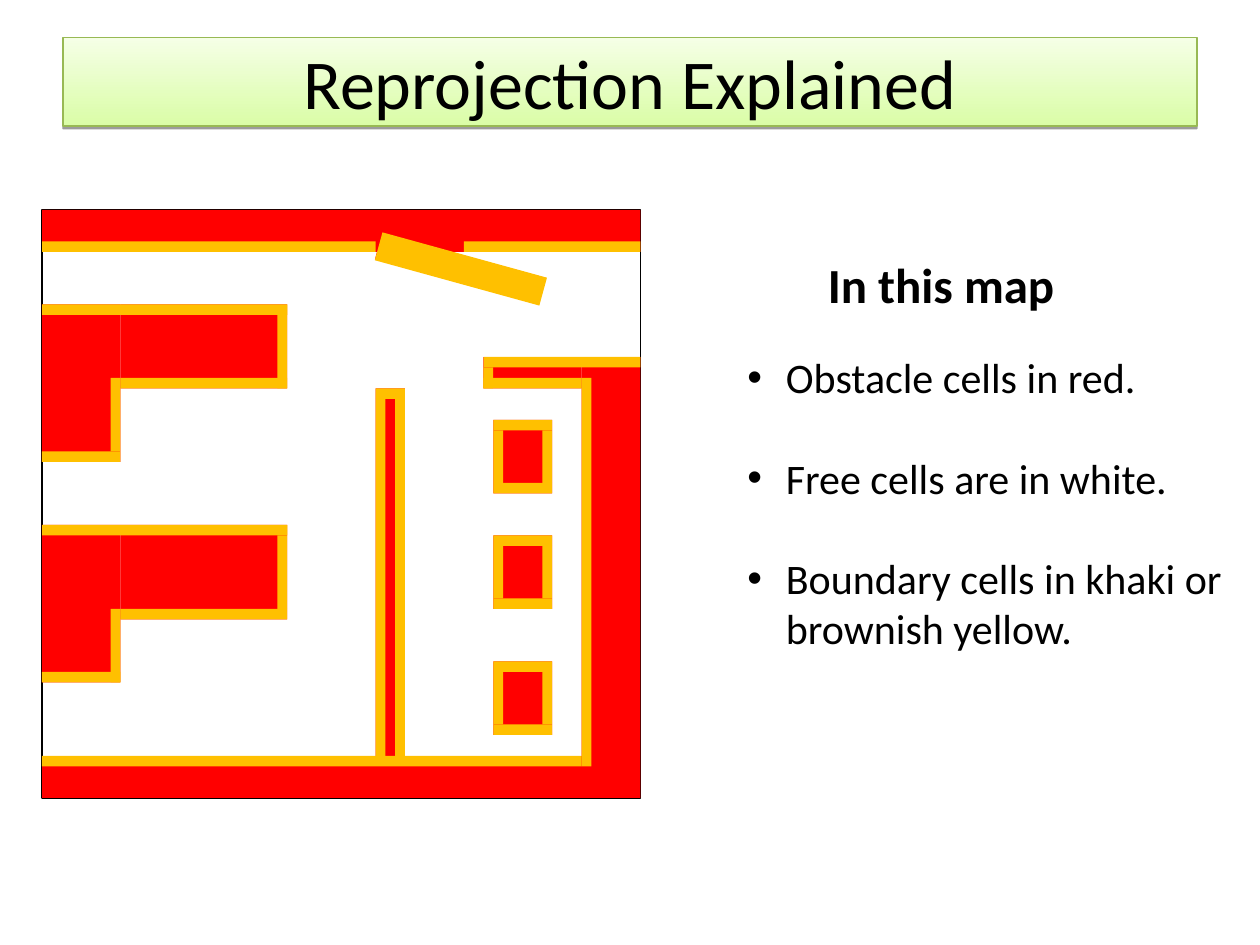
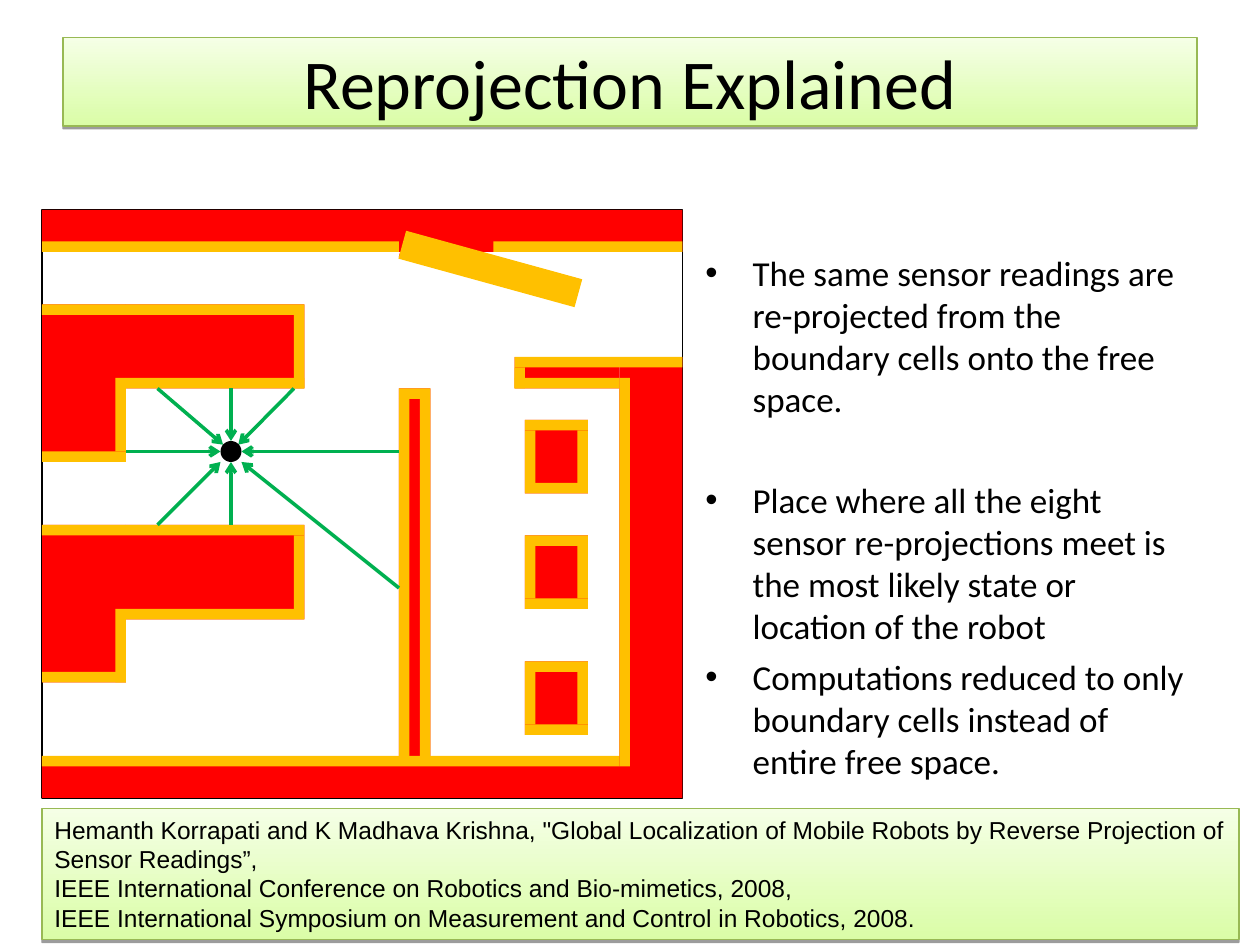
"""Two slides on reprojection, each with a grid map of a room."""
from lxml.etree import SubElement
from pptx import Presentation
from pptx.dml.color import RGBColor
from pptx.enum.shapes import MSO_CONNECTOR as Connector, MSO_SHAPE as Shape
from pptx.enum.text import MSO_ANCHOR as Anchor, PP_ALIGN as Align
from pptx.oxml.ns import qn
from pptx.util import Pt

COLORS = {
    "obstacle": "FF0000", "boundary": "FFC000", "free": "FFFFFF", "ray": "00B050",
    "ink": "000000", "band_bottom": "DAFDA7", "band_top": "F5FFE6", "band_line": "98B954",
}
MAP_LEFT, MAP_TOP, CELL = 24, 120, 6
MAP_COLUMNS, MAP_ROWS = 61, 56
NARROW_CELL = 342 / MAP_COLUMNS
COUNTERS = [(9, 8), (30, 9)]
CRATE_TOPS = [20, 31, 43]
OBSTACLES = [(0, 52, 61, 4), (34, 17, 3, 35), (0, 0, 61, 4), (55, 14, 6, 38), (45, 14, 10, 3)]
BOUNDARIES = [
    (0, 3, 34, 1), (43, 3, 18, 1), (0, 52, 55, 1),
    (34, 17, 3, 1), (34, 18, 1, 34), (36, 18, 1, 34),
    (45, 14, 16, 1), (45, 15, 1, 2), (45, 16, 10, 1), (55, 16, 1, 37),
]
DOORS = [("obstacle", (34, 4.3, 17.3, 2.5), 15.2), ("boundary", (34, 4.24, 17.4, 2.76), 15.4)]
RAYS = [
    ((18, 30), (18, 24)), ((8, 23), (17, 23)), ((18, 17), (18, 22)), ((11, 30), (17, 24)),
    ((11, 17), (17.25, 22.35)), ((34, 36), (19, 24)), ((24, 17), (18.7, 22.35)),
    ((34, 23), (19, 23)),
]
ROBOT = (17, 22, 2, 2)
MAP_KEY = [
    ("Obstacle cells in red.", 22),
    ("Free cells are in white.", 28.5),
    ("Boundary cells in khaki or brownish yellow.", 28.5),
]
METHOD = [
    ("The same sensor readings are re-projected from the boundary cells onto the free space.", 0),
    ("Place where all the eight sensor re-projections meet is the most likely state or "
     "location of the robot", 34),
    ("Computations reduced to only boundary cells instead of entire free space.", 5),
]
CITATION = [
    'Hemanth Korrapati and K Madhava Krishna, "Global Localization of Mobile Robots by '
    "Reverse Projection of Sensor Readings”,",
    "IEEE International Conference on Robotics and Bio-mimetics, 2008,",
    "IEEE International Symposium on Measurement and Control in Robotics, 2008.",
]


def color(name):
    """Return the named colour."""
    return RGBColor.from_string(COLORS[name])


def format_runs(paragraph, size, font="Calibri", bold=False):
    """Set the font of every run in a paragraph."""
    for run in paragraph.runs:
        run.font.name = font
        run.font.size = Pt(size)
        run.font.bold = bold
        run.font.color.rgb = color("ink")


def next_paragraph(text_frame):
    """Return the empty first paragraph, or a new one."""
    first = text_frame.paragraphs[0]
    return text_frame.add_paragraph() if first.runs else first


def add_bullets(text_frame, items, size, indent):
    """Add bulleted paragraphs, each with its own space before."""
    for text, space in items:
        paragraph = next_paragraph(text_frame)
        paragraph.text = text
        properties = paragraph._p.get_or_add_pPr()
        properties.set("marL", str(Pt(indent)))
        properties.set("indent", str(-Pt(indent)))
        SubElement(properties, qn("a:buFont"), typeface="Arial")
        SubElement(properties, qn("a:buChar"), char="•")
        paragraph.space_before = Pt(space)
        format_runs(paragraph, size)


def add_text_box(slide, left, top, width, height):
    """Add a wrapping text box and return its text frame."""
    text_frame = slide.shapes.add_textbox(Pt(left), Pt(top), Pt(width), Pt(height)).text_frame
    text_frame.word_wrap = True
    return text_frame


def add_band(slide, left, top, width, height, lines, size, font, align, anchor):
    """Add a green gradient band with a thin shadow and text."""
    shape = slide.shapes.add_shape(Shape.RECTANGLE, Pt(left), Pt(top), Pt(width), Pt(height))
    shape.fill.gradient()
    shape.fill.gradient_angle = 90
    for stop, name in zip(shape.fill.gradient_stops, ("band_bottom", "band_top")):
        stop.color.rgb = color(name)
    for position, stop in enumerate(shape.fill.gradient_stops):
        stop.position = position
    shape.line.color.rgb = color("band_line")
    shape.line.width = Pt(0.75)
    shape.shadow.inherit = False
    effects = shape._element.spPr.find(qn("a:effectLst"))
    shadow = SubElement(effects, qn("a:outerShdw"), dist=str(Pt(1.6)), dir="5400000",
                        rotWithShape="0")
    shade = SubElement(shadow, qn("a:srgbClr"), val=COLORS["ink"])
    SubElement(shade, qn("a:alpha"), val="38000")
    text_frame = shape.text_frame
    text_frame.word_wrap = True
    text_frame.vertical_anchor = anchor
    for line in lines:
        paragraph = next_paragraph(text_frame)
        paragraph.text = line
        paragraph.alignment = align
        format_runs(paragraph, size, font)


def add_title(slide):
    """Add the shared title band."""
    add_band(slide, 36, 21.6, 648, 50.4, ["Reprojection Explained"], 40, "Calibri",
             Align.CENTER, Anchor.MIDDLE)


def map_point(column, row, cell):
    """Turn a map position into slide lengths."""
    return Pt(MAP_LEFT + column * cell), Pt(MAP_TOP + row * CELL)


def add_cells(group, block, fill, cell, kind=Shape.RECTANGLE):
    """Add one block of map cells given as column, row, columns, rows."""
    column, row, columns, rows = block
    shape = group.shapes.add_shape(kind, *map_point(column, row, cell),
                                   Pt(columns * cell), Pt(rows * CELL))
    shape.fill.solid()
    shape.fill.fore_color.rgb = color(fill)
    shape.line.fill.background()
    shape.shadow.inherit = False
    return shape


def counter_blocks(top, depth):
    """Return the obstacle and boundary blocks of an L-shaped counter."""
    inner = top + depth - 1
    obstacles = [(0, top, 8, 15), (8, top, 17, depth)]
    boundaries = [(0, top, 25, 1), (8, inner, 17, 1), (24, top + 1, 1, 7),
                  (7, inner, 1, 7), (0, top + 14, 8, 1)]
    return obstacles, boundaries


def crate_blocks(top):
    """Return the obstacle and boundary blocks of a crate."""
    boundaries = [(46, top, 6, 1), (46, top + 6, 6, 1),
                  (46, top + 1, 1, 5), (51, top + 1, 1, 5)]
    return [(46, top, 6, 7)], boundaries


def add_map(slide, cell):
    """Add the room map with cells of the given width."""
    group = slide.shapes.add_group_shape()
    room = add_cells(group, (0, 0, MAP_COLUMNS, MAP_ROWS), "free", cell)
    room.line.color.rgb = color("ink")
    room.line.width = Pt(0)
    furniture = [counter_blocks(*counter) for counter in COUNTERS]
    furniture += [crate_blocks(top) for top in CRATE_TOPS]
    for obstacles, boundaries in [(OBSTACLES, BOUNDARIES)] + furniture:
        for block in obstacles:
            add_cells(group, block, "obstacle", cell)
        for block in boundaries:
            add_cells(group, block, "boundary", cell)
    for fill, block, angle in DOORS:
        add_cells(group, block, fill, cell).rotation = angle


def add_ray(group, start, end):
    """Add a sensor ray that ends in an arrowhead."""
    ray = group.shapes.add_connector(Connector.STRAIGHT, *map_point(*start, CELL),
                                     *map_point(*end, CELL))
    ray.line.color.rgb = color("ray")
    ray.line.width = Pt(2)
    SubElement(ray.line._get_or_add_ln(), qn("a:tailEnd"), type="arrow")
    SubElement(ray._element.spPr, qn("a:effectLst"))


def add_sensor_rays(slide):
    """Add the robot and the eight rays that meet at it."""
    group = slide.shapes.add_group_shape()
    for start, end in RAYS:
        add_ray(group, start, end)
    add_cells(group, ROBOT, "ink", CELL, Shape.OVAL)


def build_map_slide(slide):
    """Fill the slide that explains the map."""
    add_map(slide, NARROW_CELL)
    text_frame = add_text_box(slide, 420, 142, 288, 365)
    heading = text_frame.paragraphs[0]
    heading.text = "In this map"
    heading._p.get_or_add_pPr().set("marL", str(Pt(46)))
    format_runs(heading, 28, bold=True)
    add_bullets(text_frame, MAP_KEY, 24, 22)
    add_title(slide)


def build_reprojection_slide(slide):
    """Fill the slide that explains the sensor reprojection."""
    add_map(slide, CELL)
    add_sensor_rays(slide)
    add_bullets(add_text_box(slide, 396, 140, 288, 364), METHOD, 20, 27)
    add_band(slide, 24, 462, 684, 75, CITATION, 14, "Arial", Align.LEFT, Anchor.TOP)
    add_title(slide)


def main():
    """Build and save the presentation."""
    presentation = Presentation()
    presentation.slide_width, presentation.slide_height = Pt(720), Pt(540)
    for build in (build_map_slide, build_reprojection_slide):
        build(presentation.slides.add_slide(presentation.slide_layouts[6]))
    presentation.save("out.pptx")


if __name__ == "__main__":
    main()
